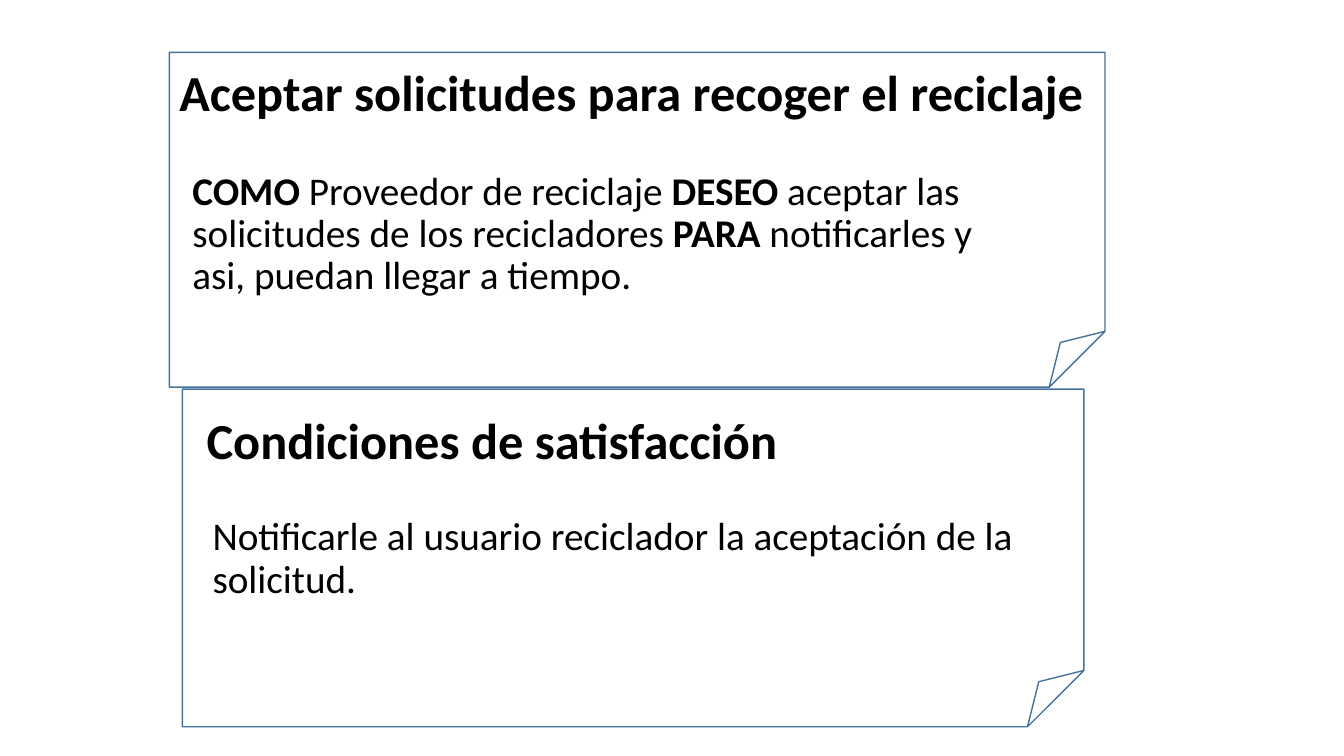
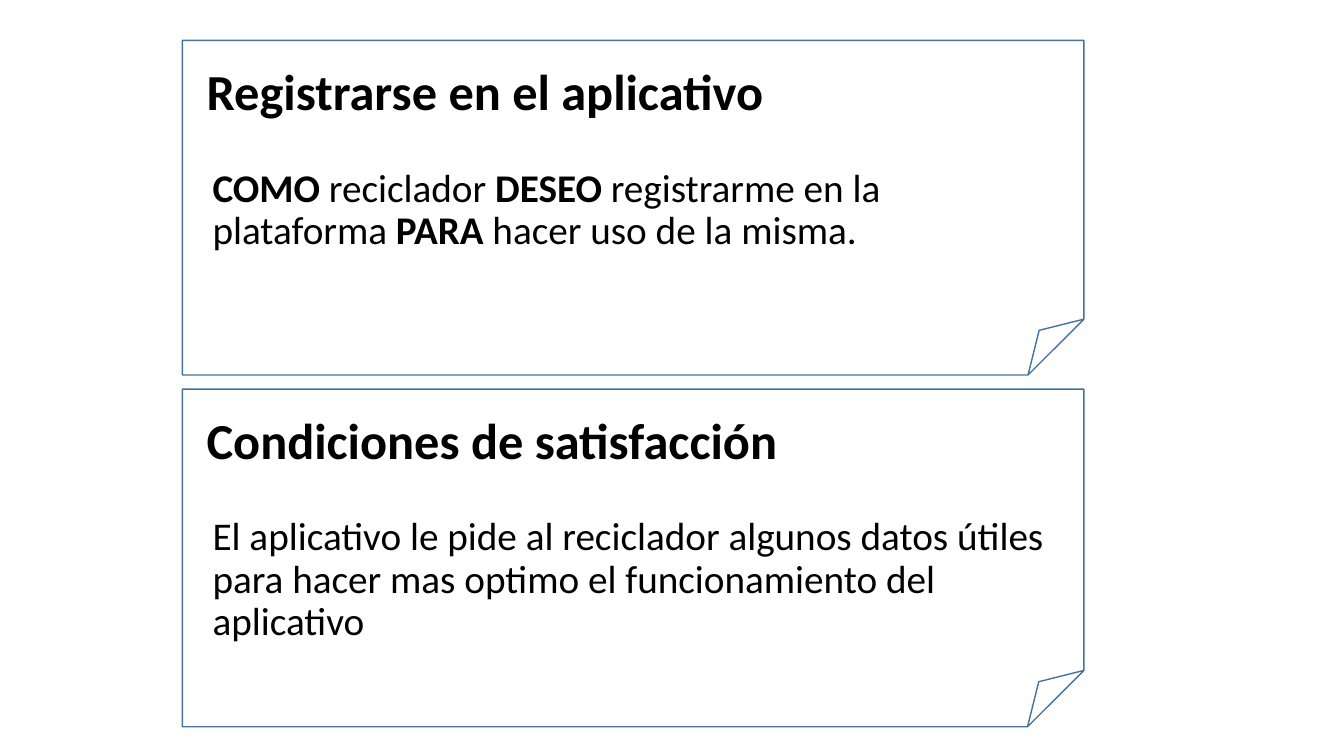
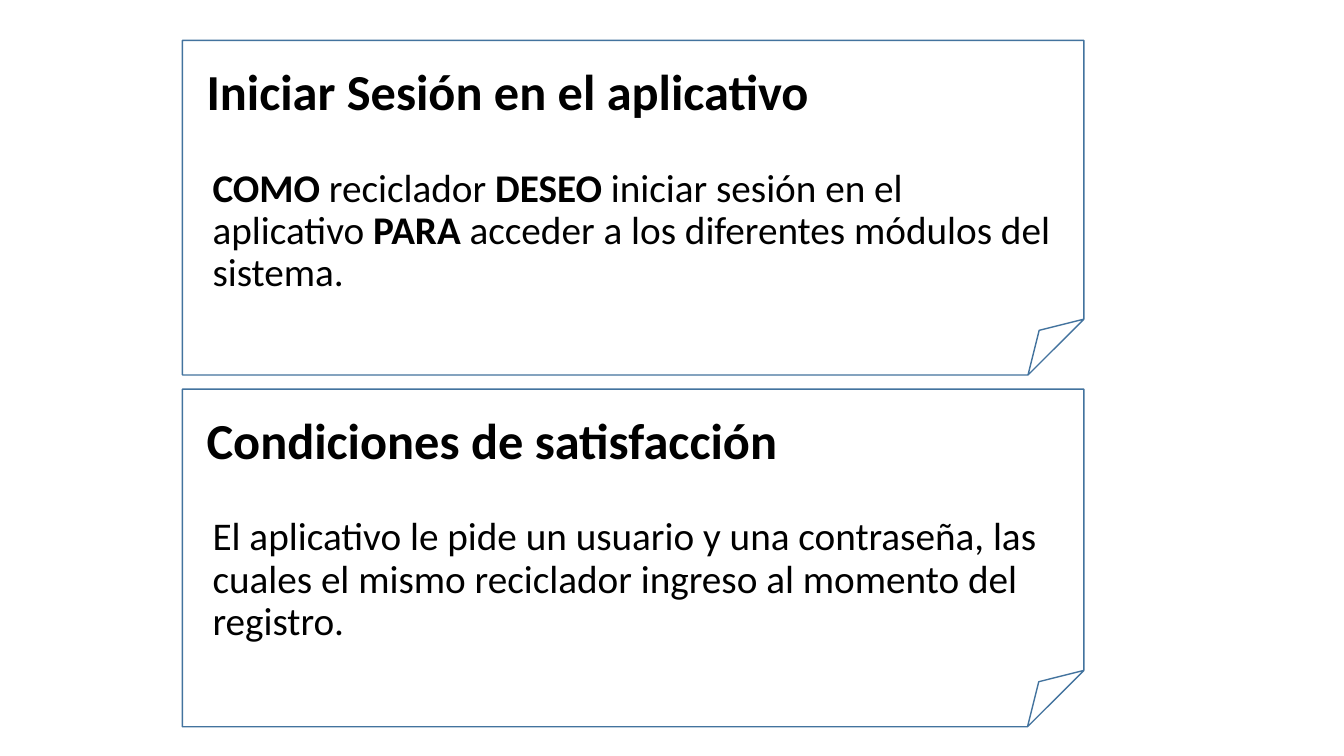
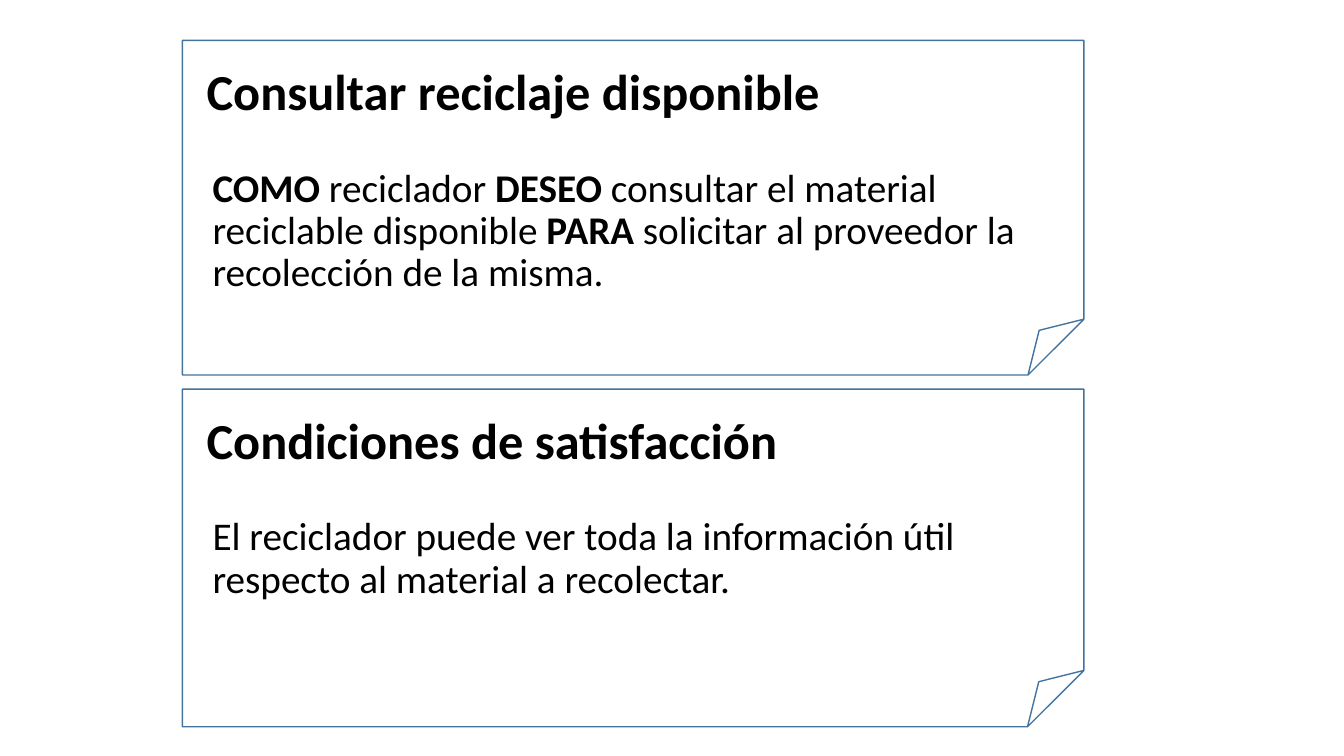
"""Build four user-story slides, each with a story note above a conditions note."""
from dataclasses import dataclass
from pptx import Presentation
from pptx.dml.color import RGBColor
from pptx.enum.shapes import MSO_SHAPE
from pptx.enum.text import MSO_ANCHOR
from pptx.util import Inches, Pt

FOLDED_CORNER = MSO_SHAPE.FOLDED_CORNER
MIDDLE, TOP = MSO_ANCHOR.MIDDLE, MSO_ANCHOR.TOP


@dataclass(frozen=True)
class Theme:
    font: str = "Calibri"
    ink: RGBColor = RGBColor(0x00, 0x00, 0x00)
    outline: RGBColor = RGBColor(0x43, 0x73, 0x9E)
    outline_width: float = 1
    title_size: int = 36
    body_size: int = 28
    line_spacing: float = 0.9
    body_space: int = 10


@dataclass(frozen=True)
class NotePlan:
    frame: tuple
    title_offset: tuple = (0.14, 0.27)
    body_offset: tuple = (0.2, 1.22)


THEME = Theme()
TITLE_SIZE = (11.38, 0.53)
BODY_SIZE = (8.53, 1.45)
STORY_NOTE = NotePlan((1.81, 0.4, 8.94, 3.32))
WIDE_STORY_NOTE = NotePlan((1.68, 0.52, 9.28, 3.32), (0, 0.16), (0.13, 1.13))
CONDITIONS_NOTE = NotePlan((1.81, 3.86, 8.94, 3.35))
CONDITIONS_TITLE = "Condiciones de satisfacción"
KEYWORDS = ("COMO", "DESEO", "PARA")

STORIES = [
    {
        "plan": WIDE_STORY_NOTE,
        "title": "Aceptar solicitudes para recoger el reciclaje",
        "parts": (
            " Proveedor de reciclaje ",
            " aceptar las solicitudes de los recicladores ",
            " notificarles y asi, puedan llegar a tiempo.",
        ),
        "conditions": "Notificarle al usuario reciclador la aceptación de la solicitud.",
    },
    {
        "plan": STORY_NOTE,
        "title": "Registrarse en el aplicativo",
        "parts": (
            " reciclador ",
            " registrarme en la plataforma ",
            " hacer uso de la misma.",
        ),
        "conditions": "El aplicativo le pide al reciclador algunos datos útiles para "
                      "hacer mas optimo el funcionamiento del aplicativo",
    },
    {
        "plan": STORY_NOTE,
        "title": "Iniciar Sesión en el aplicativo",
        "parts": (
            " reciclador ",
            " iniciar sesión en el aplicativo ",
            " acceder a los diferentes módulos del sistema.",
        ),
        "conditions": "El aplicativo le pide un usuario y una contraseña, las cuales el "
                      "mismo reciclador ingreso al momento del registro.",
    },
    {
        "plan": STORY_NOTE,
        "title": "Consultar reciclaje disponible",
        "parts": (
            " reciclador ",
            " consultar el material reciclable disponible ",
            " solicitar al proveedor la recolección de la misma.",
        ),
        "conditions": "El reciclador puede ver toda la información útil respecto al "
                      "material a recolectar.",
    },
]


def add_text(page, position, size, runs, points, anchor, space=0):
    box = page.shapes.add_textbox(*map(Inches, position + size))
    frame = box.text_frame
    frame.word_wrap = True
    frame.vertical_anchor = anchor
    para = frame.paragraphs[0]
    para.line_spacing = THEME.line_spacing
    para.space_before = Pt(space)
    for text, bold in runs:
        span = para.add_run()
        span.text = text
        span.font.name = THEME.font
        span.font.size = Pt(points)
        span.font.bold = bold
        span.font.color.rgb = THEME.ink


def add_note(page, plan, title, body_runs):
    left, top = plan.frame[:2]
    note = page.shapes.add_shape(FOLDED_CORNER, *map(Inches, plan.frame))
    note.shadow.inherit = False
    note.fill.background()
    note.line.color.rgb = THEME.outline
    note.line.width = Pt(THEME.outline_width)

    title_position = (left + plan.title_offset[0], top + plan.title_offset[1])
    body_position = (left + plan.body_offset[0], top + plan.body_offset[1])
    add_text(page, title_position, TITLE_SIZE, [(title, True)], THEME.title_size, MIDDLE)
    add_text(page, body_position, BODY_SIZE, body_runs, THEME.body_size, TOP, THEME.body_space)


def story_runs(parts):
    return [run for keyword, part in zip(KEYWORDS, parts)
            for run in ((keyword, True), (part, False))]


def main():
    deck = Presentation()
    deck.slide_width, deck.slide_height = Inches(13.33), Inches(7.5)
    blank = deck.slide_layouts[6]
    for story in STORIES:
        page = deck.slides.add_slide(blank)
        add_note(page, story["plan"], story["title"], story_runs(story["parts"]))
        add_note(page, CONDITIONS_NOTE, CONDITIONS_TITLE, [(story["conditions"], False)])
    deck.save("out.pptx")


if __name__ == "__main__":
    main()
